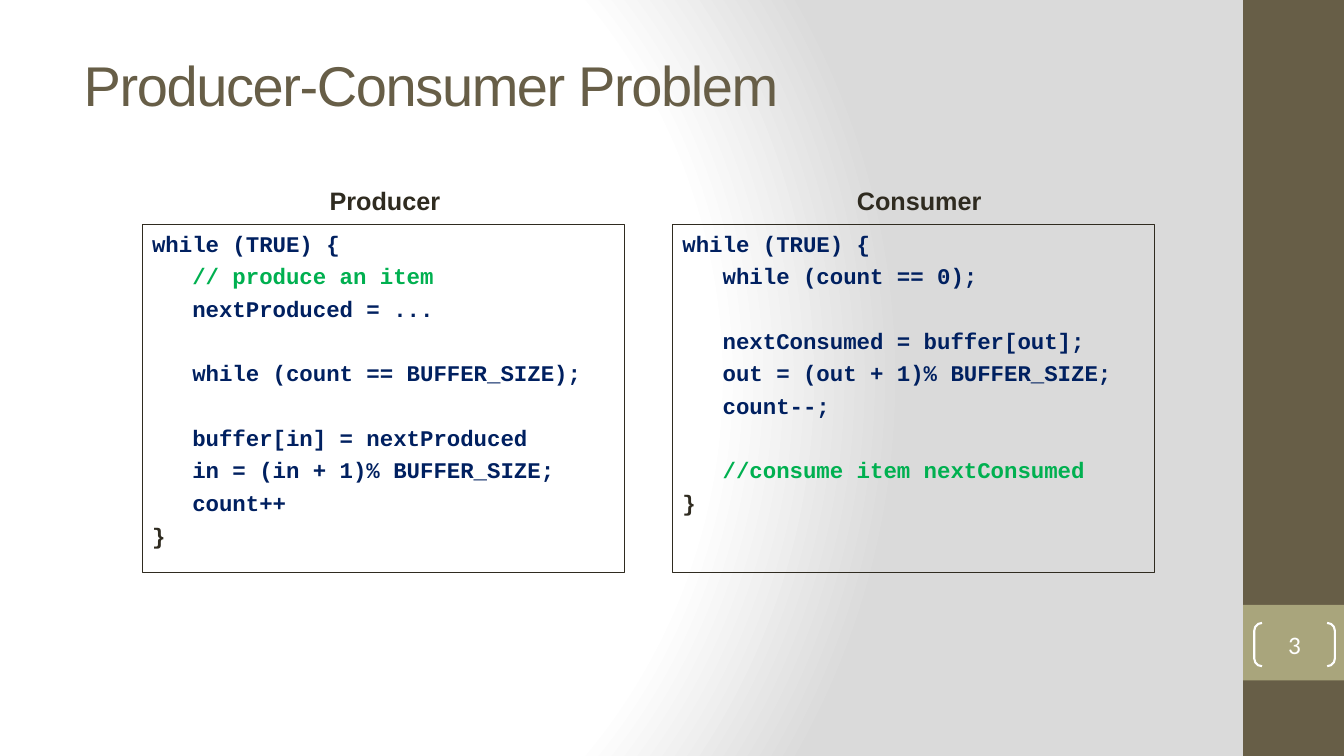
"""Build the Producer-Consumer Problem slide."""
from pptx import Presentation
from pptx.dml.color import RGBColor
from pptx.enum.shapes import MSO_SHAPE
from pptx.enum.text import MSO_ANCHOR, MSO_AUTO_SIZE, PP_ALIGN
from pptx.oxml import parse_xml
from pptx.oxml.ns import nsdecls
from pptx.util import Inches, Pt

BROWN, OLIVE, INK = "675E47", "A9A57C", "2F2B20"
NAVY, GREEN, WHITE = "002060", "00B050", "FFFFFF"
LINE_GAP, BLANK_LINE = 4.25, 22.4

PRODUCER = """while (TRUE) {
   // produce an item
   nextProduced = ...

   while (count == BUFFER_SIZE);

   buffer[in] = nextProduced
   in = (in + 1)% BUFFER_SIZE;
   count++
}"""

CONSUMER = """while (TRUE) {
   while (count == 0);

   nextConsumed = buffer[out];
   out = (out + 1)% BUFFER_SIZE;
   count--;

   //consume item nextConsumed
}"""


def rgb(value):
    return RGBColor.from_string(value)


def set_background(slide):
    stops = "".join(
        f'<a:gs pos="{pos * 1000}"><a:srgbClr val="{color}"/></a:gs>'
        for pos, color in ((0, WHITE), (75, WHITE), (100, "DADADA")))
    bg = parse_xml(
        f'<p:bg {nsdecls("p", "a")}><p:bgPr><a:gradFill rotWithShape="1">'
        f'<a:gsLst>{stops}</a:gsLst><a:path path="circle">'
        '<a:fillToRect l="20000" t="50000" r="100000" b="50000"/></a:path>'
        '</a:gradFill><a:effectLst/></p:bgPr></p:bg>')
    slide.element.cSld.insert(0, bg)


def place(sp, left, top, width, height):
    sp.left, sp.top = Inches(left), Inches(top)
    sp.width, sp.height = Inches(width), Inches(height)


def write(p, text, size=18, font="Arial", color=INK, bold=False,
          align=PP_ALIGN.LEFT, spacing=None):
    p.alignment = align
    r = p.add_run()
    r.text = text
    r.font.size, r.font.name, r.font.bold = Pt(size), font, bold
    r.font.color.rgb = rgb(color)
    if spacing is not None:
        r.font._element.set("spc", str(spacing))


def add_box(slide, kind, left, top, width, height,
            fill=None, line=None, weight=0.75):
    sp = slide.shapes.add_shape(kind, Inches(left), Inches(top),
                                Inches(width), Inches(height))
    sp.shadow.inherit = False
    if fill:
        sp.fill.solid()
        sp.fill.fore_color.rgb = rgb(fill)
    else:
        sp.fill.background()
    if line:
        sp.line.color.rgb = rgb(line)
        sp.line.width = Pt(weight)
    else:
        sp.line.fill.background()
    return sp


def add_title(slide, text):
    title = slide.shapes.title
    place(title, 0.73, 0.61, 11.7, 0.45)
    tf = title.text_frame
    tf.auto_size = MSO_AUTO_SIZE.NONE
    tf.vertical_anchor = MSO_ANCHOR.MIDDLE
    write(tf.paragraphs[0], text, size=40, color=BROWN, spacing=-100)


def add_page_number(slide, number):
    sp = add_box(slide, MSO_SHAPE.DOUBLE_BRACKET, 12.44, 6.18, 0.8, 0.43,
                 line=WHITE, weight=1.5)
    sp.adjustments[0] = 0.179
    tf = sp.text_frame
    tf.margin_left = tf.margin_right = tf.margin_top = tf.margin_bottom = 0
    tf.vertical_anchor = MSO_ANCHOR.MIDDLE
    write(tf.paragraphs[0], number, font="Calibri", color=WHITE,
          align=PP_ALIGN.CENTER)


def add_label(slide, text, left, width):
    sp = slide.shapes.add_textbox(Inches(left), Inches(1.79),
                                  Inches(width), Inches(0.41))
    tf = sp.text_frame
    tf.word_wrap = False
    tf.auto_size = MSO_AUTO_SIZE.SHAPE_TO_FIT_TEXT
    write(tf.paragraphs[0], text, bold=True)


def code_color(line):
    if line.strip().startswith("//"):
        return GREEN
    return INK if line == "}" else NAVY


def add_code(slide, code, left):
    tf = add_box(slide, MSO_SHAPE.RECTANGLE, left, 2.23, 4.78, 3.45,
                 line=INK).text_frame
    tf.word_wrap = True
    tf.vertical_anchor = MSO_ANCHOR.TOP
    p, gap = tf.paragraphs[0], 0
    for line in code.split("\n"):
        if not line:
            gap += BLANK_LINE
            continue
        if p.runs:
            p = tf.add_paragraph()
        p.space_before = Pt(gap)
        write(p, line, size=16, font="Courier New", color=code_color(line),
              bold=True)
        gap = LINE_GAP


def main():
    prs = Presentation()
    prs.slide_width, prs.slide_height = Inches(13.33), Inches(7.5)
    slide = prs.slides.add_slide(prs.slide_layouts[5])
    set_background(slide)
    add_title(slide, "Producer-Consumer Problem")
    add_box(slide, MSO_SHAPE.RECTANGLE, 12.33, 0, 1, 7.5, fill=BROWN)
    add_box(slide, MSO_SHAPE.RECTANGLE, 12.33, 6, 1, 0.75, fill=OLIVE)
    add_page_number(slide, "3")
    add_code(slide, PRODUCER, 1.41)
    add_code(slide, CONSUMER, 6.67)
    add_label(slide, "Producer", 3.17, 1.31)
    add_label(slide, "Consumer", 8.4, 1.45)
    prs.save("out.pptx")


if __name__ == "__main__":
    main()
